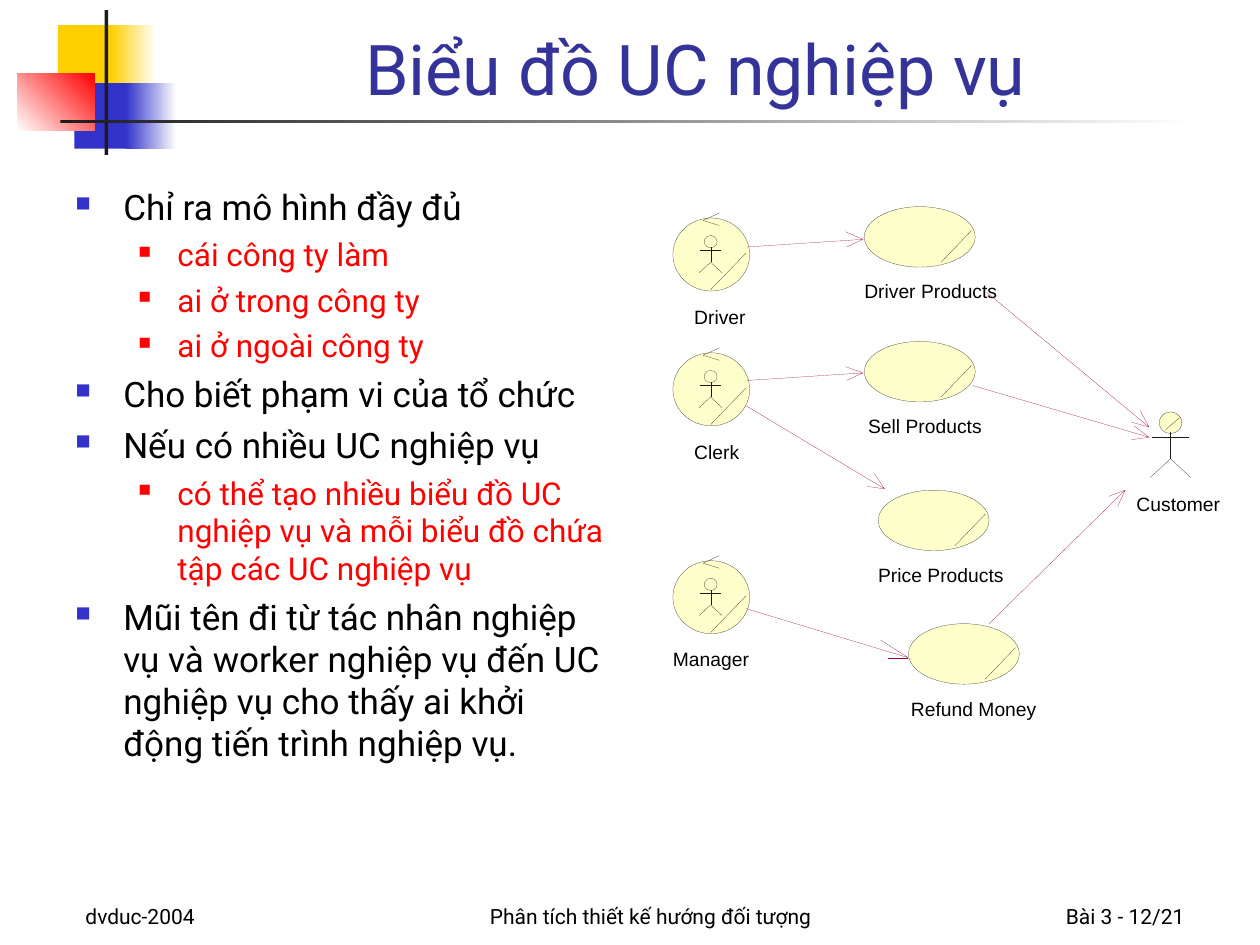
import pptx
import pptx.util
import pptx.dml.color
import pptx.enum.shapes
import pptx.enum.text
import pptx.oxml
import pptx.oxml.ns

Inches = pptx.util.Inches
Pt = pptx.util.Pt
RGB = pptx.dml.color.RGBColor
Kind = pptx.enum.shapes.MSO_SHAPE
Align = pptx.enum.text.PP_ALIGN
Anchor = pptx.enum.text.MSO_ANCHOR

WHITE = RGB(0xFF, 0xFF, 0xFF)
BLACK = RGB(0, 0, 0)
GOLD = RGB(0xFF, 0xCF, 0x01)
BLUE = RGB(0x33, 0x33, 0xCC)
NAVY = RGB(0x33, 0x33, 0x99)
RED = RGB(0xFF, 0, 0)
DARK = RGB(0x1C, 0x1C, 0x1C)
INK = RGB(0x1F, 0x1A, 0x17)
CREAM = RGB(0xFF, 0xFF, 0xCC)
WINE = RGB(0x99, 0, 0x33)

LEVELS = [(20, BLACK, BLUE, 0.38, 0.38, 5, 60), (18, RED, RED, 0.81, 0.31, 4.5, 55)]

BARS = [
    (0.46, 0.2, 0.48, 0.52, GOLD, None, 0),
    (0.88, 0.2, 0.36, 0.52, GOLD, WHITE, 0),
    (0.59, 0.66, 0.46, 0.52, BLUE, None, 0),
    (1, 0.66, 0.4, 0.52, BLUE, WHITE, 0),
    (0.14, 0.58, 0.61, 0.46, WHITE, RED, 45),
    (0.83, 0.08, 0.03, 1.15, DARK, None, 0),
    (0.48, 0.95, 9, 0.03, DARK, WHITE, 0),
]

FOOTS = [
    (0.58, 2.08, "dvduc-2004", Align.LEFT),
    (3.25, 3.83, "Phân tích thiết kế hướng đối tượng", Align.CENTER),
    (7.42, 2.08, "Bài 3 - 12/21", Align.RIGHT),
]

POINTS = [
    (0, "Chỉ ra mô hình đầy đủ"),
    (1, "cái công ty làm"),
    (1, "ai ở trong công ty"),
    (1, "ai ở ngoài công ty"),
    (0, "Cho biết phạm vi của tổ chức"),
    (0, "Nếu có nhiều UC nghiệp vụ"),
    (1, "có thể tạo nhiều biểu đồ UC nghiệp vụ và mỗi biểu đồ chứa tập các UC nghiệp vụ"),
    (0, "Mũi tên đi từ tác nhân nghiệp vụ và worker nghiệp vụ đến UC "
        "nghiệp vụ cho thấy ai khởi động tiến trình nghiệp vụ."),
]

STAFF = [(1.73, "Driver", 5.51, 0.41), (2.8, "Clerk", 5.51, 0.36), (4.45, "Manager", 5.34, 0.61)]

CASES = [
    (6.86, 1.64, "Driver Products", 6.86, 1.06),
    (6.86, 2.71, "Sell Products", 6.89, 0.92),
    (6.97, 3.89, "Price Products", 6.97, 1),
    (7.21, 4.95, "Refund Money", 7.23, 1),
]

ARROWS = [
    ((5.93, 1.96), (6.85, 1.9), (6.72, 1.96), (6.71, 1.84)),
    ((5.93, 3.02), (6.85, 2.96), (6.72, 3.02), (6.71, 2.91)),
    ((5.92, 3.22), (7.02, 3.88), (6.94, 3.76), (6.88, 3.86)),
    ((5.92, 4.83), (7.21, 5.22), (6.99, 5.08), (7.05, 5.22)),
    ((7.83, 2.32), (9.12, 3.39), (9.05, 3.26), (8.98, 3.35)),
    ((7.72, 3.06), (9.12, 3.47), (9, 3.38), (8.98, 3.49)),
    ((7.85, 4.95), (8.93, 3.89), (8.87, 4.02), (8.8, 3.94)),
]


class Board:
    """Draws styled elements on the current slide."""

    def __init__(self, slide):
        self.slide = slide
        self.shapes = slide.shapes
        self.main = "Roboto"
        self.small = "Arial"
        self.thin = Pt(0.1)

    def font(self, para, face, size, color):
        for run in para.runs:
            run.font.name = face
            run.font.size = Pt(size)
            run.font.color.rgb = color

    def title(self, text):
        box = self.shapes.title
        box.left, box.top, box.width, box.height = map(Inches, (1.26, 0.08, 8.52, 0.84))
        frame = box.text_frame
        frame.text = text
        frame.vertical_anchor = Anchor.BOTTOM
        frame.paragraphs[0].alignment = Align.CENTER
        self.font(frame.paragraphs[0], self.main, 40, NAVY)

    def bar(self, x, y, w, h, color, fade, turn):
        shape = self.shapes.add_shape(Kind.RECTANGLE, *map(Inches, (x, y, w, h)))
        shape.shadow.inherit = False
        shape.line.fill.background()
        if fade is None:
            shape.fill.solid()
            shape.fill.fore_color.rgb = color
        else:
            shape.fill.gradient()
            shape.fill.gradient_angle = turn
            for stop, tone in zip(shape.fill.gradient_stops, (color, fade)):
                stop.color.rgb = tone

    def foot(self, x, w, text, align):
        frame = self.shapes.add_textbox(*map(Inches, (x, 6.92, w, 0.5))).text_frame
        frame.word_wrap = True
        frame.vertical_anchor = Anchor.BOTTOM
        frame.text = text
        frame.paragraphs[0].alignment = align
        self.font(frame.paragraphs[0], self.main, 12, BLACK)

    def points(self, items):
        frame = self.shapes.add_textbox(*map(Inches, (0.5, 1.42, 4.42, 5.21))).text_frame
        frame.word_wrap = True
        for i, (level, text) in enumerate(items):
            size, color, mark, left, hang, gap, scale = LEVELS[level]
            para = frame.add_paragraph() if i else frame.paragraphs[0]
            para.text = text
            para.level = level
            para.line_spacing = 1.0
            para.space_before = Pt(gap if i else 0)
            props = para._p.get_or_add_pPr()
            props.set("marL", str(Inches(left)))
            props.set("indent", str(-Inches(hang)))
            space = pptx.oxml.ns.nsdecls("a")
            for part in (f'<a:buClr {space}><a:srgbClr val="{mark}"/></a:buClr>',
                         f'<a:buSzPct {space} val="{scale * 1000}"/>',
                         f'<a:buChar {space} char="■"/>'):
                props.append(pptx.oxml.parse_xml(part))
            self.font(para, self.main, size, color)

    def label(self, x, y, w, text):
        frame = self.shapes.add_textbox(*map(Inches, (x, y, w, 0.18))).text_frame
        frame.margin_left = frame.margin_right = frame.margin_top = frame.margin_bottom = 0
        frame.word_wrap = False
        frame.auto_size = pptx.enum.text.MSO_AUTO_SIZE.SHAPE_TO_FIT_TEXT
        frame.text = text
        self.font(frame.paragraphs[0], self.small, 11, BLACK)

    def oval(self, x, y, w, h, fill=None):
        shape = self.shapes.add_shape(Kind.OVAL, *map(Inches, (x, y, w, h)))
        shape.shadow.inherit = False
        shape.line.color.rgb = INK
        shape.line.width = self.thin
        if fill is None:
            shape.fill.background()
        else:
            shape.fill.solid()
            shape.fill.fore_color.rgb = fill

    def line(self, start, end, color=INK):
        kind = pptx.enum.shapes.MSO_CONNECTOR.STRAIGHT
        link = self.shapes.add_connector(kind, *map(Inches, (*start, *end)))
        link.line.color.rgb = color
        link.line.width = self.thin
        link._element.spPr.append(pptx.oxml.parse_xml(
            f'<a:effectLst {pptx.oxml.ns.nsdecls("a")}/>'))

    def arrow(self, start, tip, barb, other):
        mid = [(a + b) / 2 for a, b in zip(start, tip)]
        first, *rest = [tuple(map(Inches, spot)) for spot in (mid, tip, barb)]
        pen = self.shapes.build_freeform(*first)
        pen.add_line_segments(rest, close=False)
        shape = pen.convert_to_shape()
        shape.shadow.inherit = False
        shape.fill.background()
        shape.line.color.rgb = WINE
        shape.line.width = self.thin
        self.line(tip, other, WINE)
        self.line(mid, start, WINE)

    def stick(self, x, y, scale, fill=None):
        self.oval(x - 0.09 * scale, y, 0.18 * scale, 0.17 * scale, fill)
        hip = (x, y + 0.37 * scale)
        self.line((x, y + 0.16 * scale), hip)
        for side in (-1, 1):
            self.line((x + side * 0.16 * scale, y + 0.52 * scale), hip)
        arm = y + 0.2 * scale
        self.line((x - 0.15 * scale, arm), (x + 0.15 * scale, arm))

    def worker(self, y, text, left, width):
        x = 5.34
        self.oval(x, y, 0.61, 0.58, CREAM)
        self.line((x + 0.58, y + 0.28), (x + 0.3, y + 0.57))
        for rise in (-0.04, 0.06):
            self.line((x + 0.37, y + rise), (x + 0.24, y + 0.02))
        self.stick(x + 0.3, y + 0.14, 0.57)
        self.label(left, y + 0.69, width, text)

    def case(self, x, y, text, left, width):
        self.oval(x, y, 0.88, 0.48, CREAM)
        self.line((x + 0.85, y + 0.19), (x + 0.61, y + 0.44))
        self.label(left, y + 0.58, width, text)


def main():
    deck = pptx.Presentation()
    deck.slide_width, deck.slide_height = Inches(10), Inches(7.5)
    board = Board(deck.slides.add_slide(deck.slide_layouts[5]))
    for draw, rows in ((board.bar, BARS), (board.foot, FOOTS), (board.worker, STAFF),
                       (board.case, CASES), (board.arrow, ARROWS)):
        for row in rows:
            draw(*row)
    board.title("Biểu đồ UC nghiệp vụ")
    board.points(POINTS)
    board.stick(9.29, 3.27, 1, CREAM)
    board.line((9.25, 3.41), (9.37, 3.31))
    board.label(9.02, 3.91, 0.67, "Customer")
    deck.save("out.pptx")


if __name__ == "__main__":
    main()
